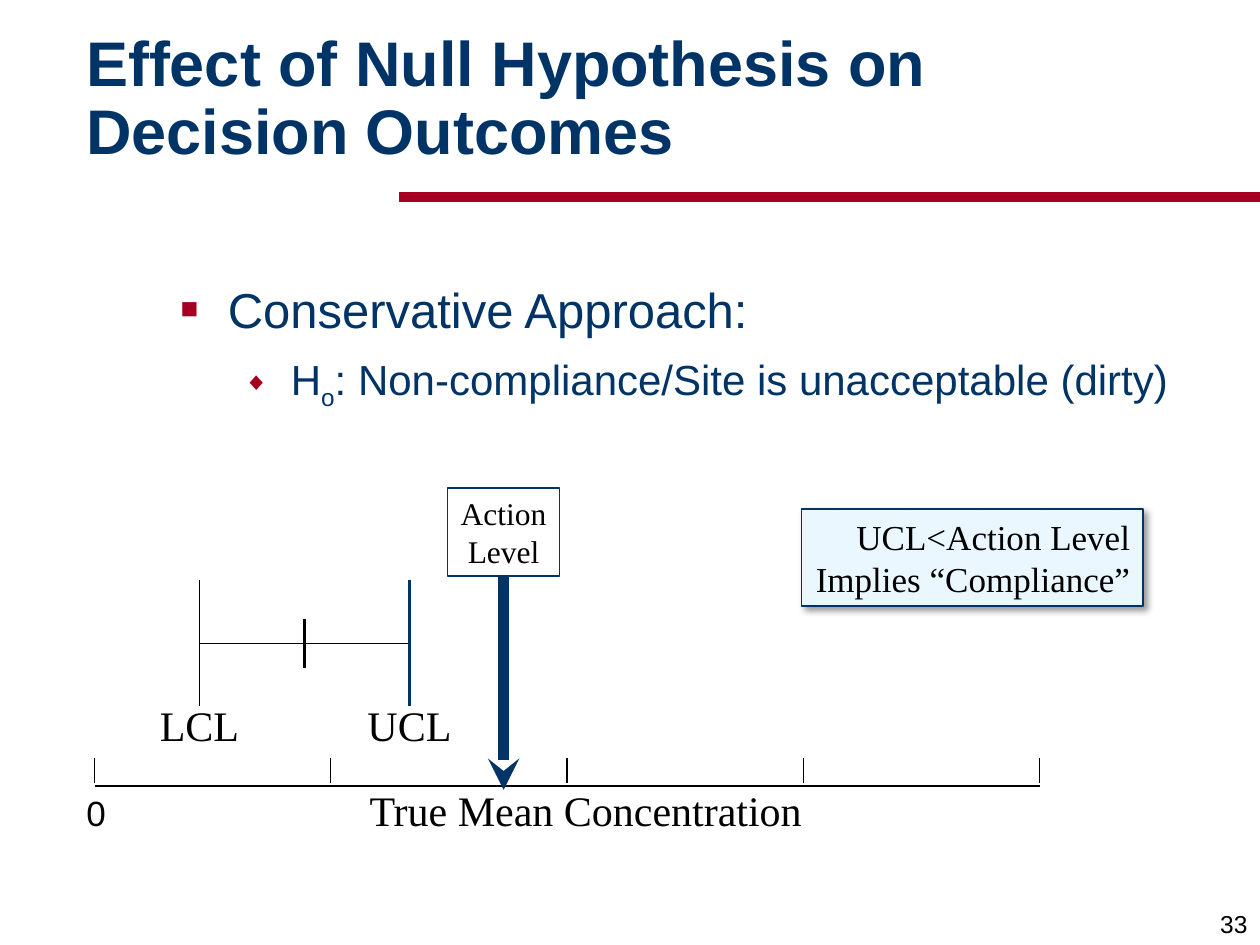
from lxml import etree
from pptx import Presentation
from pptx.dml.color import RGBColor
from pptx.enum.shapes import MSO_CONNECTOR, MSO_SHAPE
from pptx.enum.text import MSO_ANCHOR, MSO_AUTO_SIZE, PP_ALIGN
from pptx.oxml import parse_xml
from pptx.oxml.ns import nsdecls, qn
from pptx.util import Pt

LINE = MSO_CONNECTOR.STRAIGHT
RECT = MSO_SHAPE.RECTANGLE
TOP, MIDDLE, BOTTOM = MSO_ANCHOR.TOP, MSO_ANCHOR.MIDDLE, MSO_ANCHOR.BOTTOM
LEFT, CENTER, RIGHT = PP_ALIGN.LEFT, PP_ALIGN.CENTER, PP_ALIGN.RIGHT
NO_FIT = MSO_AUTO_SIZE.NONE

NAVY = RGBColor(0x00, 0x33, 0x66)
RED = RGBColor(0xA5, 0x00, 0x21)
BLACK = RGBColor(0x00, 0x00, 0x00)
INK = RGBColor(0x01, 0x00, 0x00)
PALE = RGBColor(0xEB, 0xF7, 0xFF)
SANS, SERIF = "Arial", "Times New Roman"


def place(sp, x, y, w, h):
    sp.left, sp.top, sp.width, sp.height = Pt(x), Pt(y), Pt(w), Pt(h)


def add_run(p, text, size=24, font=SANS, color=NAVY, bold=False, baseline=0):
    for i, part in enumerate(text.split("\n")):
        if i:
            p.add_line_break()
        r = p.add_run()
        r.text = part
        r.font.size, r.font.name, r.font.bold = Pt(size), font, bold
        r.font.color.rgb = color
        if baseline:
            r.font._element.set("baseline", str(baseline * 1000))


def set_text(sp, lines, align=CENTER, anchor=TOP, wrap=False, **fmt):
    tf = sp.text_frame
    tf.auto_size, tf.word_wrap, tf.vertical_anchor = NO_FIT, wrap, anchor
    for i, line in enumerate(lines):
        p = tf.paragraphs[0] if i == 0 else tf.add_paragraph()
        p.alignment = align
        add_run(p, line, **fmt)


def add_label(s, box, lines, **fmt):
    sp = s.shapes.add_textbox(*map(Pt, box))
    set_text(sp, lines, **fmt)


def add_box(s, box, lines, fill=None, **fmt):
    sp = s.shapes.add_shape(RECT, *map(Pt, box))
    sp.shadow.inherit = False
    if fill is None:
        sp.fill.background()
    else:
        sp.fill.solid()
        sp.fill.fore_color.rgb = fill
    sp.line.color.rgb, sp.line.width = NAVY, Pt(1)
    set_text(sp, lines, font=SERIF, color=BLACK, **fmt)
    return sp


def add_line(s, x1, y1, x2, y2, color=INK, width=1, arrow=None):
    cn = s.shapes.add_connector(LINE, Pt(x1), Pt(y1), Pt(x2), Pt(y2))
    cn.line.color.rgb, cn.line.width = color, Pt(width)
    if arrow:
        etree.SubElement(cn.line._get_or_add_ln(), qn("a:tailEnd"), type=arrow)
    etree.SubElement(cn._element.spPr, qn("a:effectLst"))


def add_shadow(sp):
    effects = sp._element.spPr.find(qn("a:effectLst"))
    effects.append(parse_xml(
        f'<a:outerShdw {nsdecls("a")} blurRad="{Pt(4)}" dist="{Pt(3)}" dir="2700000">'
        '<a:srgbClr val="000000"><a:alpha val="40000"/></a:srgbClr></a:outerShdw>'))


def add_bullet(p, char, indent, hang):
    pPr = p._p.get_or_add_pPr()
    pPr.set("marL", str(Pt(indent)))
    pPr.set("indent", str(-Pt(hang)))
    color = etree.SubElement(pPr, qn("a:buClr"))
    etree.SubElement(color, qn("a:srgbClr"), val=str(RED))
    etree.SubElement(pPr, qn("a:buSzPct"), val="60000")
    etree.SubElement(pPr, qn("a:buFont"), typeface=SANS)
    etree.SubElement(pPr, qn("a:buChar"), char=char)


def build_title(s, x, y, w, h):
    sp = s.shapes.title
    place(sp, x, y, w, h)
    set_text(sp, ["Effect of Null Hypothesis on \nDecision Outcomes"],
             align=LEFT, anchor=MIDDLE, wrap=True, size=36, bold=True)
    sp.text_frame.paragraphs[0].line_spacing = 0.9
    add_line(s, x + 186.2, y + 100.5, 720, y + 100.5, RED, 6)


def build_body(s, x, y, w, h):
    sp = s.placeholders[1]
    place(sp, x, y, w, h)
    tf = sp.text_frame
    tf.auto_size = NO_FIT
    p = tf.paragraphs[0]
    add_bullet(p, "■", 27, 27)
    p.space_before = Pt(0)
    add_run(p, "Conservative Approach:", size=28)
    p = tf.add_paragraph()
    p.level = 1
    add_bullet(p, "◆", 63, 27)
    p.space_before = Pt(9)
    add_run(p, "H")
    add_run(p, "o", baseline=-25)
    add_run(p, ": Non-compliance/Site is unacceptable (dirty)")


def build_axis(s, x, y, w, h):
    base = y + h
    add_line(s, x, base, x + w, base)
    ticks = 5
    for i in range(ticks):
        tick = x + i * w / (ticks - 1)
        add_line(s, tick, base - 16, tick, base - 1.5, BLACK, 0.75)
    add_label(s, (x - 11.5, base, 25, 32), ["0"], size=20, color=BLACK)
    add_label(s, (x + 149, base - 4, 263.5, 36), ["True Mean Concentration"],
              font=SERIF, color=BLACK)


def build_interval(s, x, y, w, h):
    middle = y + h / 2
    add_line(s, x, middle, x + w, middle)
    for end, name, color, width in ((x, "LCL", INK, 1), (x + w, "UCL", NAVY, 2)):
        add_line(s, end, y, end, y + h, color, width)
        add_label(s, (end - 36, y + h - 7.3, 72, 36), [name],
                  font=SERIF, color=BLACK, wrap=True)
    add_line(s, x + w / 2, middle - 14, x + w / 2, middle + 14, width=2.25)


def build_action_level(s, x, y, w, h):
    box_height = 50.4
    center = x + w / 2
    add_line(s, center, y + box_height, center, y + h, NAVY, 6, "stealth")
    add_box(s, (x, y, w, box_height), ["Action", "Level"], size=18)


def build_conclusion(s, x, y, w, h):
    sp = add_box(s, (x, y, w, h), ["UCL<Action Level", "Implies “Compliance”"],
                 fill=PALE, size=20, align=RIGHT)
    add_shadow(sp)


def main():
    prs = Presentation()
    prs.slide_width, prs.slide_height = Pt(720), Pt(540)
    s = prs.slides.add_slide(prs.slide_layouts[1])
    build_title(s, 42, 12, 642, 90)
    build_body(s, 96, 156, 612, 324)
    build_conclusion(s, 458, 291, 195, 55.4)
    build_axis(s, 54, 433, 540, 16)
    build_interval(s, 114, 331.7, 120, 72)
    build_action_level(s, 255.8, 278.8, 64, 172.6)
    add_label(s, (570, 504, 150, 36), ["33"], size=14, color=BLACK,
              align=RIGHT, anchor=BOTTOM)
    prs.save("out.pptx")


if __name__ == "__main__":
    main()
